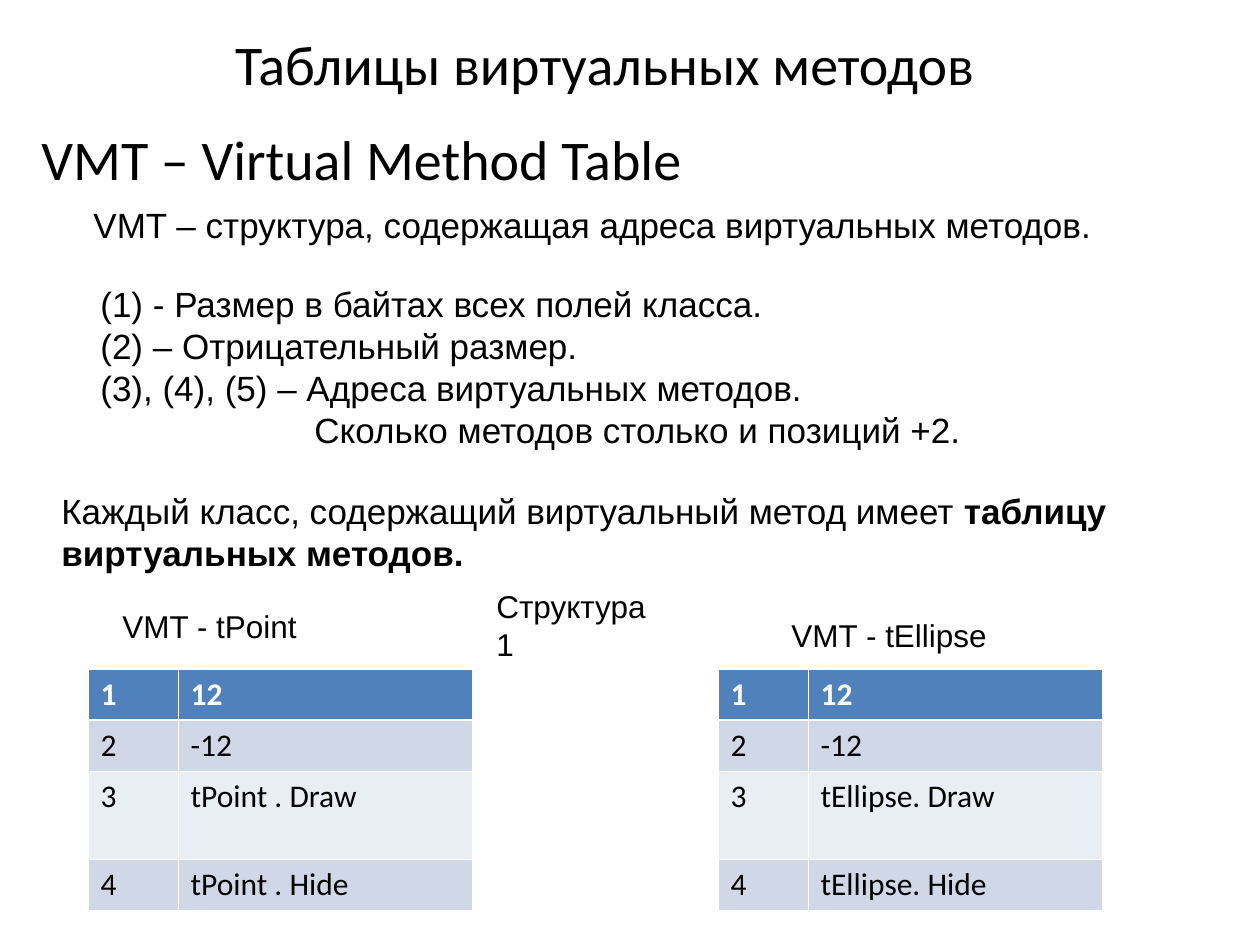
from lxml import etree
from pptx import Presentation, util as u
from pptx.dml.color import RGBColor
from pptx.enum import text
from pptx.oxml import ns

BLACK = RGBColor(0x00, 0x00, 0x00)
WHITE = RGBColor(0xFF, 0xFF, 0xFF)
HEADER = RGBColor(0x4F, 0x81, 0xBD)
BAND_DARK = RGBColor(0xD0, 0xD8, 0xE8)
BAND_LIGHT = RGBColor(0xE9, 0xED, 0xF4)

COLUMNS = (90, 294)
ROWS = (51, 51, 88, 51)
FILLS = (HEADER, BAND_DARK, BAND_LIGHT, BAND_DARK)
HEADING = {"size": u.Pt(32), "name": "Calibri"}
BODY = {"size": u.Pt(20), "name": "Arial"}
CAPTION = {"size": u.Pt(18), "name": "Arial"}
CELL = {"size": u.Pt(18), "name": "Calibri"}


def px(n):
    """Turn pixels into EMU."""
    return u.Emu(round(n * 914400 / 126))


def add_run(p, words, font, color=BLACK, bold=False):
    """Add a formatted run to a paragraph."""
    r = p.add_run()
    r.text = words
    for name, value in {**font, "bold": bold}.items():
        setattr(r.font, name, value)
    r.font.color.rgb = color


def add_text(s, box, lines, font, wrap=True, grow=True):
    """Add a text box with one paragraph per line and return its frame."""
    tf = s.shapes.add_textbox(*map(px, box)).text_frame
    tf.word_wrap = wrap
    tf.auto_size = (text.MSO_AUTO_SIZE.SHAPE_TO_FIT_TEXT if grow
                    else text.MSO_AUTO_SIZE.NONE)
    for i, line in enumerate(lines):
        p = tf.add_paragraph() if i else tf.paragraphs[0]
        add_run(p, line, font)
    return tf


def add_border(cell, side, width):
    """Add a white line to one side of a cell."""
    ln = etree.SubElement(cell._tc.get_or_add_tcPr(), ns.qn("a:ln" + side),
                          w=str(u.Pt(width)))
    fill = etree.SubElement(ln, ns.qn("a:solidFill"))
    etree.SubElement(fill, ns.qn("a:srgbClr"), val=str(WHITE))


def add_vmt(s, left, top, values):
    """Add a numbered method table with a header row."""
    table = s.shapes.add_table(len(ROWS), len(COLUMNS), px(left), px(top),
                               px(sum(COLUMNS)), px(sum(ROWS))).table
    for column, width in zip(table.columns, COLUMNS):
        column.width = px(width)
    for i, (height, fill, value) in enumerate(zip(ROWS, FILLS, values)):
        table.rows[i].height = px(height)
        for j, words in enumerate((str(i + 1), value)):
            cell = table.cell(i, j)
            for side in "LRTB":
                heavy = (i, side) in ((0, "B"), (1, "T"))
                add_border(cell, side, 1.5 if heavy else 0.5)
            cell.fill.solid()
            cell.fill.fore_color.rgb = fill
            add_run(cell.text_frame.paragraphs[0], words, CELL,
                    BLACK if i else WHITE, i == 0)


def main():
    """Build the slide and save it."""
    prs = Presentation()
    prs.slide_width, prs.slide_height = px(1260), px(945)
    s = prs.slides.add_slide(prs.slide_layouts[6])

    tf = add_text(s, (98, 29, 1014, 69), ["Таблицы виртуальных методов"],
                  HEADING, grow=False)
    tf.vertical_anchor = text.MSO_ANCHOR.MIDDLE
    tf.paragraphs[0].alignment = text.PP_ALIGN.CENTER
    tf = add_text(s, (29, 118, 1191, 808), ["VMT – Virtual Method Table"],
                  HEADING, grow=False)
    p = tf.paragraphs[0]
    p.alignment, p.space_before = text.PP_ALIGN.JUSTIFY, u.Pt(8)

    add_text(s, (81, 197, 1027, 55),
             ["VMT – структура, содержащая адреса виртуальных методов."],
             BODY, wrap=False)
    tf = add_text(s, (88, 276, 896, 181),
                  ["(1) - Размер в байтах всех полей класса.",
                   "(2) – Отрицательный размер.",
                   "(3), (4), (5) – Адреса виртуальных методов.",
                   "Сколько методов столько и позиций +2."], BODY)
    tf.paragraphs[-1]._p.get_or_add_pPr().set("marL", str(px(214)))
    tf = add_text(s, (49, 483, 1182, 97),
                  ["Каждый класс, содержащий виртуальный метод имеет "], BODY)
    add_run(tf.paragraphs[0], "таблицу виртуальных методов.", BODY, bold=True)

    for words, left, top, width in (("VMT - tPoint", 110, 601, 209),
                                    ("VMT - tEllipse", 779, 610, 221),
                                    ("Структура 1", 484, 581, 200)):
        add_text(s, (left, top, width, 50), [words], CAPTION, wrap=False)
    for left, name in ((88, "tPoint ."), (718, "tEllipse.")):
        add_vmt(s, left, 669, ("12", "-12", f"{name} Draw", f"{name} Hide"))

    prs.save("out.pptx")


if __name__ == "__main__":
    main()
